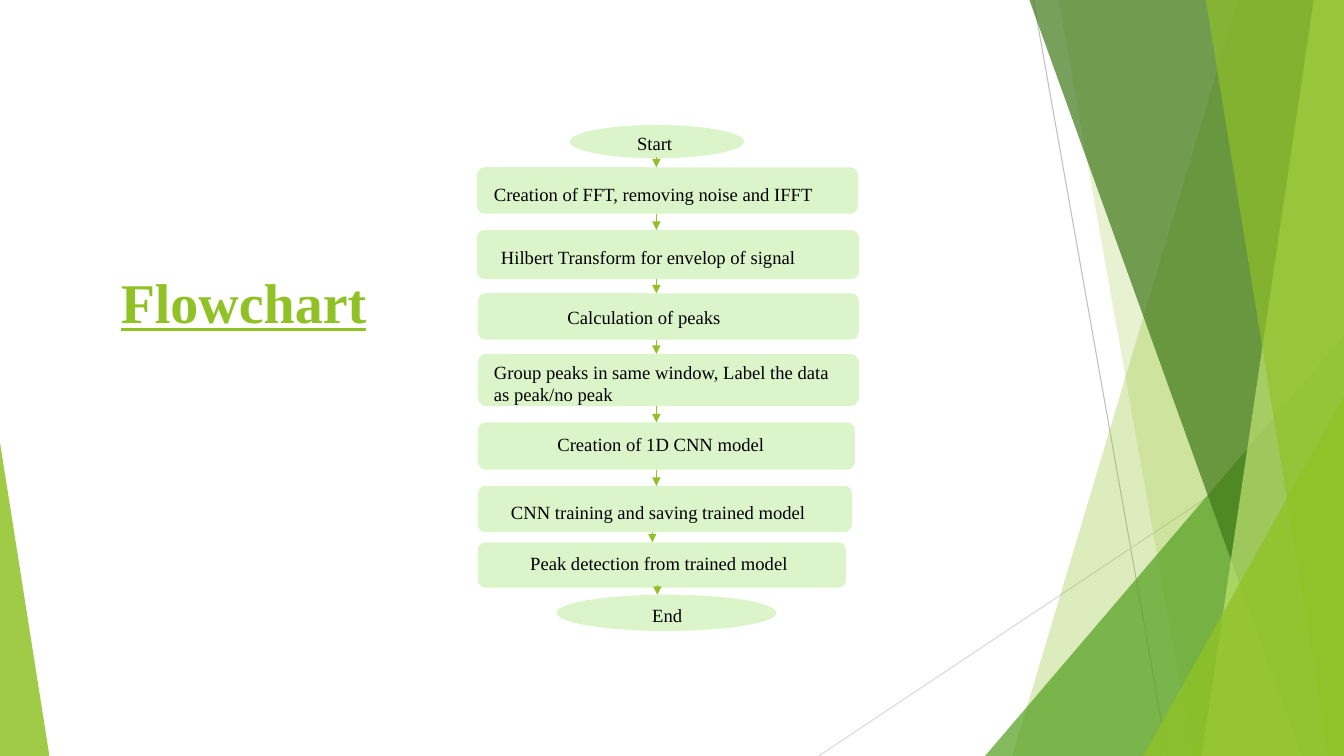
"""Build the flowchart slide with its green faceted backdrop."""
import pptx
import pptx.util
import pptx.dml.color
import pptx.enum.shapes
import pptx.enum.text
import pptx.oxml
import pptx.oxml.ns

Inches, Pt = pptx.util.Inches, pptx.util.Pt
MSO = pptx.enum.shapes.MSO_SHAPE
FONT, GREEN, PALE, BLACK = "Times New Roman", "90C226", "DBF4CA", "000000"
WIDTH, HEIGHT = 13.33, 7.5

BACK_LINES = [
    ((10.25, 0), (11.58, HEIGHT), "BFBFBF"),
    ((WIDTH, 4.03), (8.12, HEIGHT), "D9D9D9"),
]
# Facets: ("band", top x, bottom x, colour, opacity) or
# ("triangle", left, top, width, apex, colour, opacity)
FACETS = [
    ("band", 12.28, 10.04, GREEN, 30),
    ("band", 10.5, 11.83, GREEN, 20),
    ("triangle", 9.77, 3.33, 3.56, 1, "54A021", 72),
    ("band", 10.21, 12.91, "3F7819", 70),
    ("band", 13.03, 11.92, "C0E474", 70),
    ("band", 11.96, 13.18, GREEN, 65),
    ("triangle", 11.34, 3.93, 1.99, 1, GREEN, 80),
    ("triangle", 0, 4.39, 0.49, 0, GREEN, 85),
]
TITLE = ("Flowchart", (0.37, 2.67, 4.09, 0.7))
STEPS = [
    (MSO.OVAL, (5.65, 1.24, 1.73, 0.33), "Start", (6.22, 1.26, 1.1, 0.33)),
    (MSO.ROUNDED_RECTANGLE, (4.73, 1.66, 3.78, 0.46),
     "Creation of FFT, removing noise and IFFT", (4.8, 1.77, 3.59, 0.33)),
    (MSO.ROUNDED_RECTANGLE, (4.73, 2.28, 3.79, 0.49),
     "Hilbert Transform for envelop of signal", (4.87, 2.39, 3.59, 0.33)),
    (MSO.ROUNDED_RECTANGLE, (4.74, 2.91, 3.78, 0.46),
     "Calculation of peaks", (5.53, 2.99, 2.44, 0.33)),
    (MSO.ROUNDED_RECTANGLE, (4.74, 3.51, 3.78, 0.52),
     "Group peaks in same window, Label the data as peak/no peak",
     (4.8, 3.53, 3.59, 0.55)),
    (MSO.ROUNDED_RECTANGLE, (4.74, 4.19, 3.74, 0.47),
     "Creation of 1D CNN model", (5.43, 4.25, 2.42, 0.33)),
    (MSO.ROUNDED_RECTANGLE, (4.74, 4.82, 3.71, 0.46),
     "CNN training and saving trained model", (4.97, 4.92, 3.43, 0.33)),
    (MSO.ROUNDED_RECTANGLE, (4.74, 5.38, 3.65, 0.45),
     "Peak detection from trained model", (5.16, 5.43, 3.15, 0.33)),
    (MSO.OVAL, (5.52, 5.9, 2.18, 0.36), "End", (6.37, 5.94, 0.99, 0.33)),
]
ARROW_X = [6.51] * 6 + [6.47, 6.52]
MIN_ARROW = 0.1


def rgb(value):
    return pptx.dml.color.RGBColor.from_string(value)


def add_element(parent, tag, **attrs):
    el = pptx.oxml.parse_xml(f"<a:{tag} {pptx.oxml.ns.nsdecls('a')}/>")
    for name, value in attrs.items():
        el.set(name, value)
    parent.append(el)


def paint(sp, color, opacity=100):
    sp.shadow.inherit = False
    sp.line.fill.background()
    sp.fill.solid()
    sp.fill.fore_color.rgb = rgb(color)
    if opacity < 100:
        clr = sp.fill._xPr.find(".//" + pptx.oxml.ns.qn("a:srgbClr"))
        add_element(clr, "alpha", val=str(opacity * 1000))


def add_line(s, start, end, color, width, arrow=False):
    cx = s.shapes.add_connector(pptx.enum.shapes.MSO_CONNECTOR.STRAIGHT,
                                *map(Inches, start + end))
    cx.line.color.rgb = rgb(color)
    cx.line.width = Pt(width)
    if arrow:
        add_element(cx.line._get_or_add_ln(), "tailEnd", type="triangle")
    add_element(cx._element.spPr, "effectLst")


def add_shape(s, kind, box, color, opacity=100):
    sp = s.shapes.add_shape(kind, *map(Inches, box))
    paint(sp, color, opacity)
    return sp


def add_band(s, top_x, bottom_x, color, opacity):
    points = [(top_x, 0), (WIDTH, 0), (WIDTH, HEIGHT), (bottom_x, HEIGHT)]
    corners = [(Inches(x), Inches(y)) for x, y in points]
    fb = s.shapes.build_freeform(*corners[0])
    fb.add_line_segments(corners[1:], close=True)
    paint(fb.convert_to_shape(), color, opacity)


def add_triangle(s, left, top, width, apex, color, opacity):
    box = (left, top, width, HEIGHT - top)
    sp = add_shape(s, MSO.ISOSCELES_TRIANGLE, box, color, opacity)
    sp.adjustments[0] = apex


def add_text(s, text, box, size, color):
    tf = s.shapes.add_textbox(*map(Inches, box)).text_frame
    tf.word_wrap = True
    p = tf.paragraphs[0]
    r = p.add_run()
    r.text = text
    r.font.name = FONT
    r.font.size = Pt(size)
    r.font.color.rgb = rgb(color)
    return tf, p, r


def main():
    prs = pptx.Presentation()
    prs.slide_width, prs.slide_height = Inches(WIDTH), Inches(HEIGHT)
    s = prs.slides.add_slide(prs.slide_layouts[6])

    for start, end, color in BACK_LINES:
        add_line(s, start, end, color, 0.75)
    for kind, *facet in FACETS:
        if kind == "band":
            add_band(s, *facet)
        else:
            add_triangle(s, *facet)

    tf, p, r = add_text(s, *TITLE, 40, GREEN)
    tf.vertical_anchor = pptx.enum.text.MSO_ANCHOR.BOTTOM
    p.alignment = pptx.enum.text.PP_ALIGN.CENTER
    r.font.bold = r.font.underline = True

    for kind, box, _, _ in STEPS:
        add_shape(s, kind, box, PALE)
    for _, _, text, box in STEPS:
        _, p, _ = add_text(s, text, box, 13.3, BLACK)
        p.space_after = Pt(6)

    boxes = [step[1] for step in STEPS]
    for x, upper, lower in zip(ARROW_X, boxes, boxes[1:]):
        end = lower[1]
        start = min(upper[1] + upper[3], end - MIN_ARROW)
        add_line(s, (x, start), (x, end), GREEN, 1, arrow=True)

    prs.save("out.pptx")


if __name__ == "__main__":
    main()
